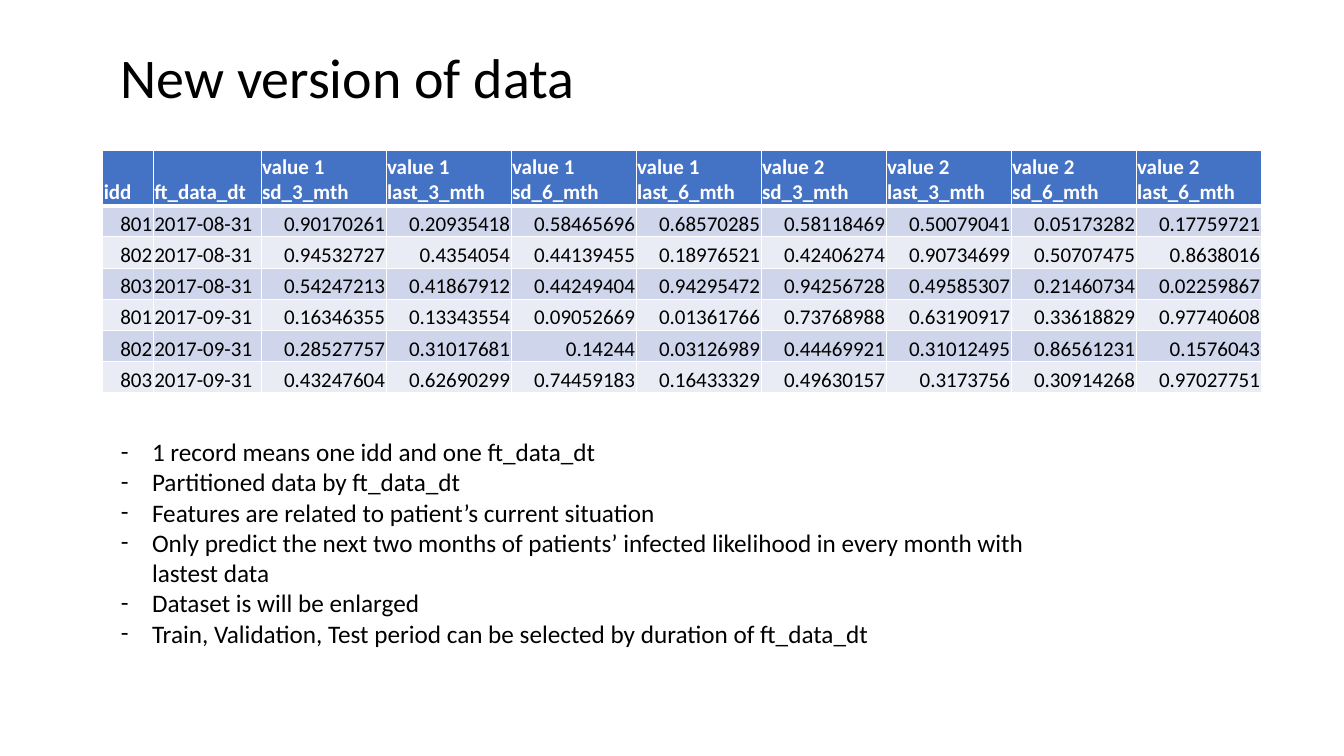
"""Build the slide that shows the new version of the data."""
from pptx import Presentation
from pptx.dml.color import RGBColor
from pptx.enum.text import MSO_ANCHOR, PP_ALIGN
from pptx.oxml import parse_xml
from pptx.oxml.ns import nsdecls
from pptx.util import Inches, Pt

TITLE = "New version of data"
FEATURES = [f"value {value} {kind}_{months}_mth"
            for value in (1, 2) for months in (3, 6) for kind in ("sd", "last")]
HEADER = ["idd", "ft_data_dt"] + FEATURES
RECORDS = [
    "801 2017-08-31 0.90170261 0.20935418 0.58465696 0.68570285 0.58118469 0.50079041 0.05173282 0.17759721",
    "802 2017-08-31 0.94532727 0.4354054 0.44139455 0.18976521 0.42406274 0.90734699 0.50707475 0.8638016",
    "803 2017-08-31 0.54247213 0.41867912 0.44249404 0.94295472 0.94256728 0.49585307 0.21460734 0.02259867",
    "801 2017-09-31 0.16346355 0.13343554 0.09052669 0.01361766 0.73768988 0.63190917 0.33618829 0.97740608",
    "802 2017-09-31 0.28527757 0.31017681 0.14244 0.03126989 0.44469921 0.31012495 0.86561231 0.1576043",
    "803 2017-09-31 0.43247604 0.62690299 0.74459183 0.16433329 0.49630157 0.3173756 0.30914268 0.97027751",
]
NOTES = [
    "1 record means one idd and one ft_data_dt",
    "Partitioned data by ft_data_dt",
    "Features are related to patient’s current situation",
    "Only predict the next two months of patients’ infected likelihood in every month with lastest data",
    "Dataset is will be enlarged",
    "Train, Validation, Test period can be selected by duration of ft_data_dt",
]
BLACK, WHITE, BLUE = "000000", "FFFFFF", "4472C4"
BANDS = ("CFD5EA", "E9EBF5")
COLUMN_WIDTHS = [0.5, 1.07] + [1.24] * len(FEATURES)
ROW_HEIGHTS = [0.55] + [0.31] * len(RECORDS)
CELL_FORMAT = {
    "vertical_anchor": MSO_ANCHOR.BOTTOM,
    "margin_left": Inches(0.01),
    "margin_right": Inches(0.01),
    "margin_top": Inches(0.01),
    "margin_bottom": 0,
}


def color(value):
    return RGBColor.from_string(value)


def write(para, text, size, fill=BLACK, bold=False):
    span = para.add_run()
    span.text = text
    span.font.color.rgb = color(fill)
    for name, value in {"name": "Calibri", "size": Pt(size), "bold": bold}.items():
        setattr(span.font, name, value)


def add_text(page, left, top, width, height, anchor=MSO_ANCHOR.TOP):
    frame = page.shapes.add_textbox(*map(Inches, (left, top, width, height))).text_frame
    frame.word_wrap = True
    frame.vertical_anchor = anchor
    return frame


def add_borders(cell, row):
    heavy_side = {0: "B", 1: "T"}.get(row)
    for side in "LRTB":
        width = Pt(3 if side == heavy_side else 1)
        cell._tc.get_or_add_tcPr().append(parse_xml(
            f'<a:ln{side} {nsdecls("a")} w="{width}"><a:solidFill>'
            f'<a:srgbClr val="{WHITE}"/></a:solidFill></a:ln{side}>'))


def add_dash(para):
    properties = para._p.get_or_add_pPr()
    properties.set("marL", str(Inches(0.31)))
    properties.set("indent", str(-Inches(0.31)))
    properties.append(parse_xml(f'<a:buFont {nsdecls("a")} typeface="Calibri"/>'))
    properties.append(parse_xml(f'<a:buChar {nsdecls("a")} char="-"/>'))


def add_data_table(page):
    rows = [HEADER] + [record.split() for record in RECORDS]
    table = page.shapes.add_table(
        len(rows), len(HEADER), Inches(1.02), Inches(1.49),
        Inches(sum(COLUMN_WIDTHS)), Inches(sum(ROW_HEIGHTS))).table
    for column, width in zip(table.columns, COLUMN_WIDTHS):
        column.width = Inches(width)
    for row, height in zip(table.rows, ROW_HEIGHTS):
        row.height = Inches(height)
    for r, texts in enumerate(rows):
        is_header = r == 0
        for c, text in enumerate(texts):
            cell = table.cell(r, c)
            for name, value in CELL_FORMAT.items():
                setattr(cell, name, value)
            add_borders(cell, r)
            cell.fill.solid()
            cell.fill.fore_color.rgb = color(BLUE if is_header else BANDS[(r - 1) % 2])
            para = cell.text_frame.paragraphs[0]
            is_left = is_header or HEADER[c] == "ft_data_dt"
            para.alignment = PP_ALIGN.LEFT if is_left else PP_ALIGN.RIGHT
            write(para, text, 15, WHITE if is_header else BLACK, is_header)


deck = Presentation()
deck.slide_width, deck.slide_height = Inches(13.33), Inches(7.5)
page = deck.slides.add_slide(deck.slide_layouts[6])

title = add_text(page, 1.1, 0.19, 11.13, 1.22, MSO_ANCHOR.MIDDLE).paragraphs[0]
title.line_spacing = 0.9
write(title, TITLE, 40)

add_data_table(page)

notes = add_text(page, 1.1, 4.28, 9.74, 2.22)
for number, note in enumerate(NOTES):
    para = notes.add_paragraph() if number else notes.paragraphs[0]
    add_dash(para)
    write(para, note, 18)

deck.save("out.pptx")
